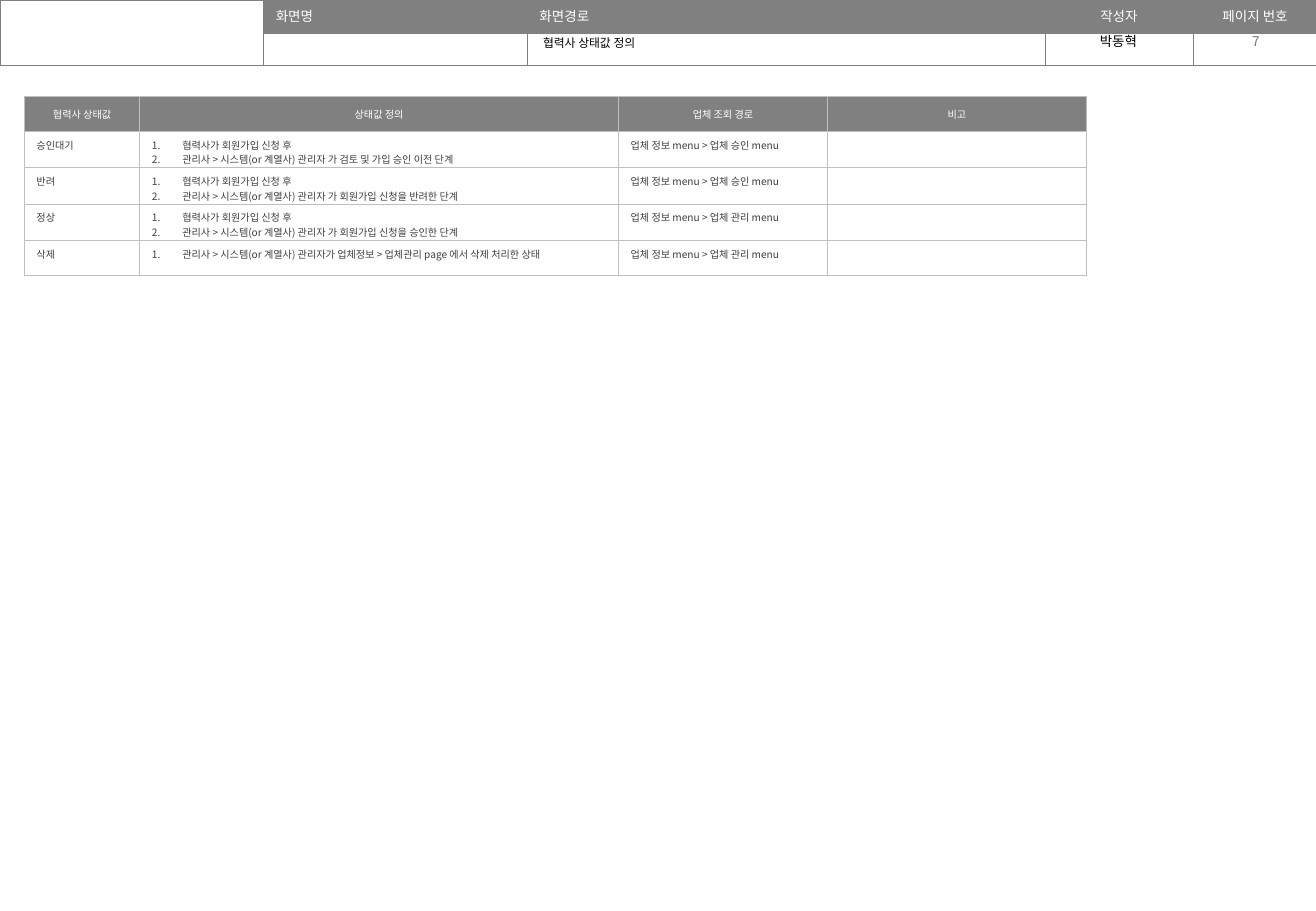
from lxml.etree import SubElement
from pptx import Presentation
from pptx.dml.color import RGBColor as Rgb
from pptx.enum.text import MSO_ANCHOR as Anchor, MSO_AUTO_SIZE as AutoSize, PP_ALIGN as Align
from pptx.oxml.ns import qn
from pptx.util import Inches, Pt

COLORS = {"gray": "808080", "rule": "BFBFBF", "number": "797979",
          "body": "404040", "white": "FFFFFF", "black": "000000"}
KOREAN = "Noto Sans CJK KR"


class SlideBuilder:
    def __init__(self, deck):
        self.slide = deck.slides.add_slide(deck.slide_layouts[5])

    def fill_text(self, frame, lines, size, color, font=KOREAN, align=Align.LEFT, numbered=False):
        for index, line in enumerate(lines):
            para = frame.paragraphs[0] if index == 0 else frame.add_paragraph()
            para.alignment = align
            if numbered:
                props = para._p.get_or_add_pPr()
                props.set("marL", str(Inches(0.25)))
                props.set("indent", str(-Inches(0.25)))
                SubElement(props, qn("a:buAutoNum"), type="arabicPeriod")
            if not line:
                # An empty line keeps the small size so its row does not grow
                SubElement(para._p, qn("a:endParaRPr"), sz=str(size * 100))
                continue
            span = para.add_run()
            span.text = line
            for name, value in {"name": font, "size": Pt(size), "bold": False}.items():
                setattr(span.font, name, value)
            span.font.color.rgb = Rgb.from_string(COLORS[color])
            SubElement(span._r.get_or_add_rPr(), qn("a:ea"), typeface=font)

    def place(self, box, area, lines, size, color, anchor=Anchor.TOP, **style):
        for name, value in zip(("left", "top", "width", "height"), area):
            setattr(box, name, Inches(value))
        frame = box.text_frame
        settings = {"word_wrap": True, "auto_size": AutoSize.NONE, "vertical_anchor": anchor,
                    "margin_left": Inches(0.1), "margin_right": Inches(0.1),
                    "margin_top": Inches(0.05), "margin_bottom": Inches(0.05)}
        for name, value in settings.items():
            setattr(frame, name, value)
        self.fill_text(frame, lines, size, color, **style)

    def title(self, area, text, **style):
        self.place(self.slide.shapes.title, area, [text], **style)

    def text(self, area, text, **style):
        box = self.slide.shapes.add_textbox(0, 0, 0, 0)
        self.place(box, area, [text], **style)

    def table(self, left, top, widths, heights):
        frame = self.slide.shapes.add_table(
            len(heights), len(widths), Inches(left), Inches(top),
            Inches(sum(widths)), Inches(sum(heights)))
        table = frame.table
        table.first_row = table.horz_banding = False
        for column, width in zip(table.columns, widths):
            column.width = Inches(width)
        for row, height in zip(table.rows, heights):
            row.height = Inches(height)
        return table

    def cell(self, cell, lines, border, border_width, fill=None, anchor=Anchor.TOP, **style):
        props = cell._tc.get_or_add_tcPr()
        for side in ("lnL", "lnR", "lnT", "lnB"):
            line = SubElement(props, qn("a:" + side), w=str(Pt(border_width)))
            solid = SubElement(line, qn("a:solidFill"))
            SubElement(solid, qn("a:srgbClr"), val=COLORS[border])
        if fill:
            cell.fill.solid()
            cell.fill.fore_color.rgb = Rgb.from_string(COLORS[fill])
        else:
            cell.fill.background()
        cell.vertical_anchor = anchor
        self.fill_text(cell.text_frame, lines, **style)


def add_page_header(page):
    labels = ["", "화면명", "화면경로", "작성자", "페이지 번호"]
    table = page.table(0, 0, [2.17, 2.17, 4.26, 1.22, 1.02], [0.27, 0.27])
    table.cell(0, 0).merge(table.cell(1, 0))
    for row in range(2):
        for column, label in enumerate(labels):
            heading = label if row == 0 else ""
            page.cell(table.cell(row, column), [heading], "gray", 0.25,
                      fill="gray" if heading else None, size=8, color="white",
                      align=Align.CENTER if column > 2 else Align.LEFT)

    # Values under the header labels
    page.title((4.37, 0.24, 4.21, 0.22), "협력사 상태값 정의", size=7, color="black", font="Lato")
    page.text((8.59, 0.22, 1.23, 0.24), "박동혁", size=8, color="black", align=Align.CENTER)
    page.text((9.83, 0.22, 1.01, 0.24), "7", size=8, color="number", align=Align.CENTER,
              anchor=Anchor.MIDDLE)


def add_status_table(page):
    signup = "협력사가 회원가입 신청 후"
    manager = "관리사 > 시스템(or 계열사) "
    approval, management = (f"업체 정보 menu > 업체 {name} menu" for name in ("승인", "관리"))
    headings = ["협력사 상태값", "상태값 정의", "업체 조회 경로", "비고"]
    statuses = [
        ("승인대기", [signup, manager + "관리자 가 검토 및 가입 승인 이전 단계"], approval),
        ("반려", [signup, manager + "관리자 가 회원가입 신청을 반려한 단계"], approval),
        ("정상", [signup, manager + "관리자 가 회원가입 신청을 승인한 단계"], management),
        ("삭제", [manager + "관리자가 업체정보 > 업체관리 page 에서 삭제 처리한 상태"], management),
    ]
    table = page.table(0.2, 0.79, [0.95, 3.94, 1.72, 2.13], [0.29, 0.3, 0.3, 0.3, 0.29])
    for column, heading in enumerate(headings):
        page.cell(table.cell(0, column), [heading], "rule", 0.5, fill="gray", size=6,
                  color="white", align=Align.CENTER, anchor=Anchor.MIDDLE)
    for row, (status, steps, route) in enumerate(statuses, start=1):
        for column, lines in enumerate([[status], steps, [route], [""]]):
            cell = table.cell(row, column)
            cell.margin_bottom = 0
            page.cell(cell, lines, "rule", 0.5, fill="white", size=6, color="body",
                      numbered=column == 1)


def main():
    deck = Presentation()
    deck.slide_width, deck.slide_height = Inches(10.83), Inches(7.5)
    page = SlideBuilder(deck)
    add_page_header(page)
    add_status_table(page)
    deck.save("out.pptx")


if __name__ == "__main__":
    main()
